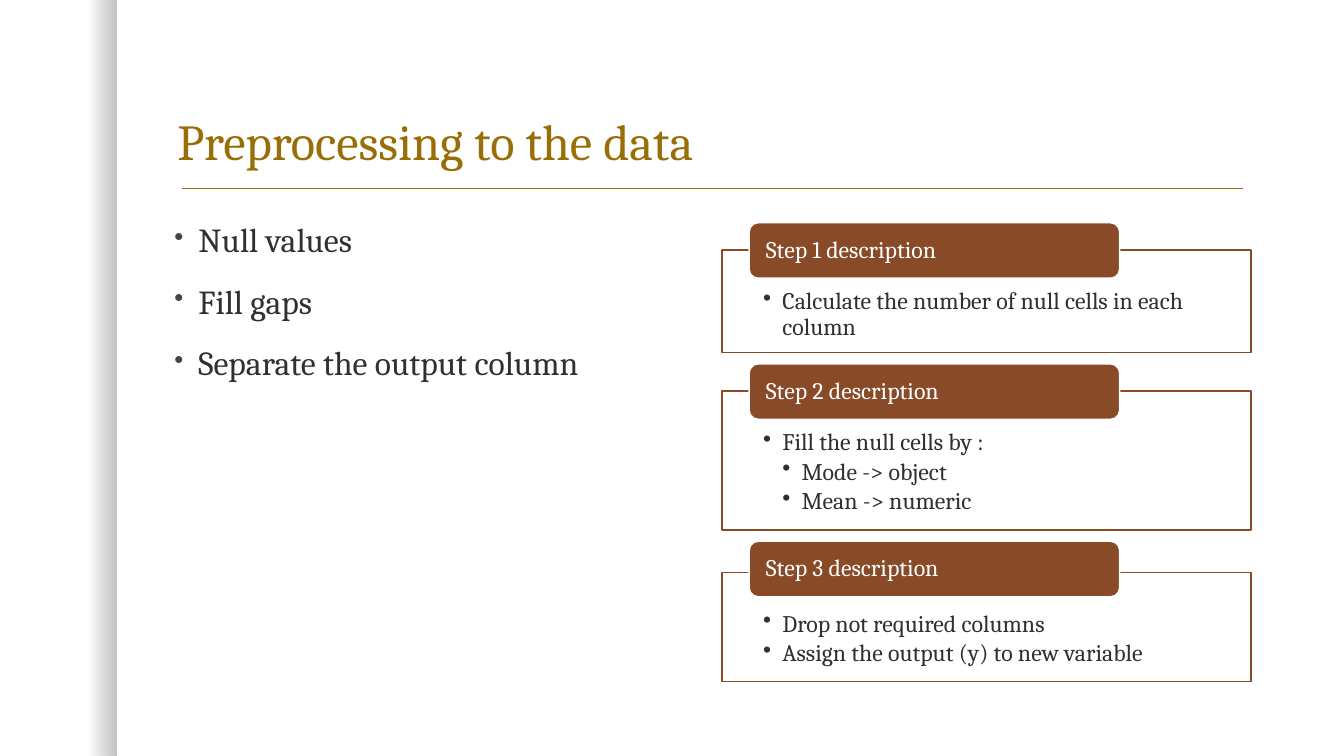
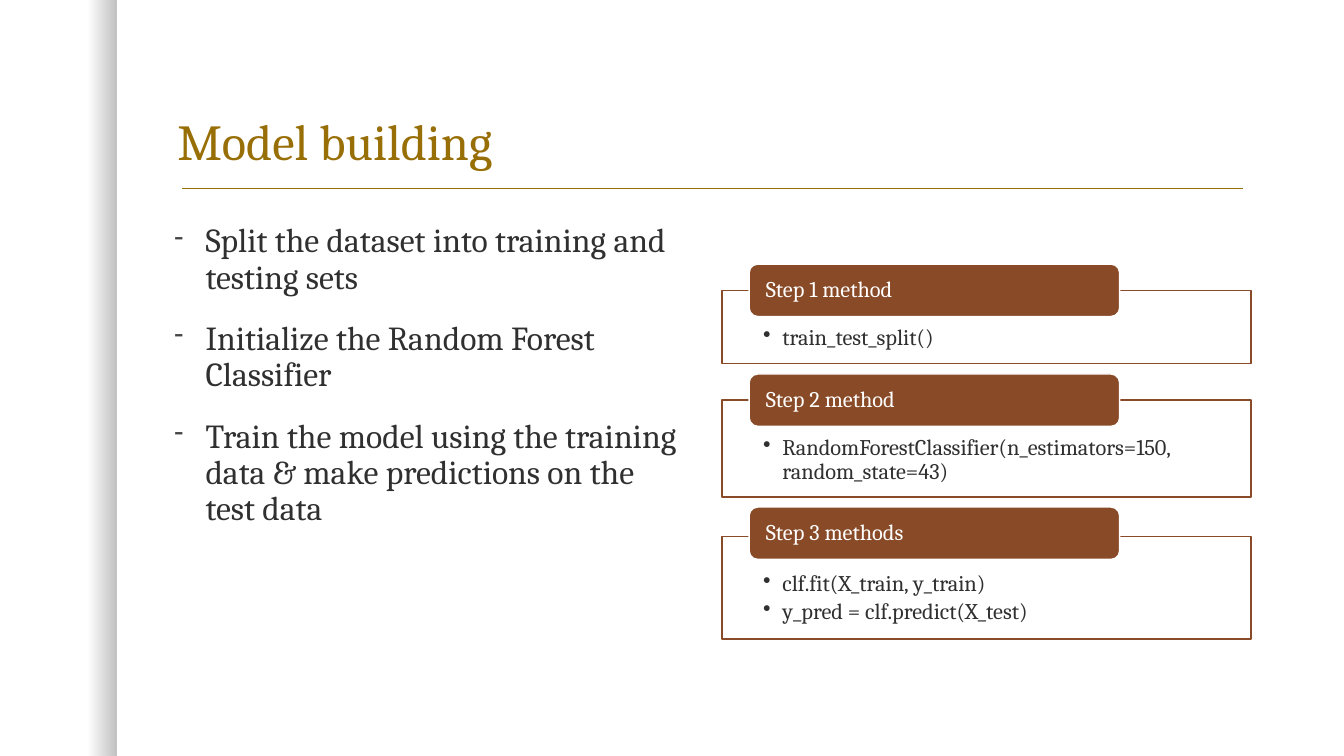
from dataclasses import dataclass
from lxml import etree
from pptx import Presentation, util as u
from pptx.dml.color import RGBColor
from pptx.enum import shapes, text
from pptx.oxml import ns

# Shared look
FONT = "Cambria"
GOLD, BROWN, INK, GREY = "986F07", "894A27", "303030", "454545"
WHITE, BLACK = "FFFFFF", "000000"
WIDE, HIGH = 13.33, 7.5

# Shared grid: two equal columns below the title
LEFT, FULL, COL = 1.66, 10.75, 5.25
RIGHT = LEFT + FULL - COL
TOP, DEEP = 2.17, 4.58
TAG_X, TAG_W = RIGHT + 0.27, COL * 0.7
HANG = 0.19


@dataclass
class Item:
    words: str
    level: int = 1


@dataclass
class Step:
    head: str
    drop: float  # from the top of the tag to the top of the box
    high: float
    items: list[Item]


@dataclass
class Stack:
    top: float
    gap: float
    tag: float
    size: int
    inset: float
    steps: list[Step]


@dataclass
class Page:
    title: str
    mark: str
    hang: float
    points: list[str]
    stack: Stack


PAGES = [
    Page("Preprocessing to the data", "•", 0.24,
         ["Null values", "Fill gaps", "Separate the output column"],
         Stack(2.21, 0.11, 0.55, 17, 0.39, [
             Step("Step 1 description", 0.27, 1.02, [
                 Item("Calculate the number of null cells in each column")]),
             Step("Step 2 description", 0.27, 1.38, [
                 Item("Fill the null cells by :"),
                 Item("Mode -> object", 2),
                 Item("Mean -> numeric", 2)]),
             Step("Step 3 description", 0.31, 1.08, [
                 Item("Drop not required columns"),
                 Item("Assign the output (y) to new variable")]),
         ])),
    Page("Model building", "-", 0.31,
         ["Split the dataset into training and testing sets",
          "Initialize the Random Forest Classifier",
          "Train the model using the training data & make predictions "
          "on the test data"],
         Stack(2.62, 0.1, 0.52, 16, 0.36, [
             Step("Step 1 method", 0.26, 0.73, [Item("train_test_split()")]),
             Step("Step 2 method", 0.26, 0.96, [
                 Item("RandomForestClassifier(n_estimators=150, "
                      "random_state=43)")]),
             Step("Step 3 methods", 0.29, 1.02, [
                 Item("clf.fit(X_train, y_train)"),
                 Item("y_pred = clf.predict(X_test)")]),
         ])),
]


def rgb(code: str) -> RGBColor:
    return RGBColor.from_string(code)


def box(*sides: float) -> list[int]:
    return [u.Inches(side) for side in sides]


def sub(node, tag: str, **attrs: str):
    return etree.SubElement(node, ns.qn(tag), attrs)


def fade(shape, *shares: int) -> None:
    """Set the opacity, in percent, of the shape's colours in order."""
    for node, share in zip(shape.element.iter(ns.qn("a:srgbClr")), shares):
        sub(node, "a:alpha", val=str(share * 1000))


def frame(shape, insets: tuple[float, ...], anchor):
    body = shape.text_frame
    body.word_wrap = True
    body.vertical_anchor = anchor
    (body.margin_left, body.margin_top,
     body.margin_right, body.margin_bottom) = box(*insets)
    return body


def write(body, first: bool, words: str, size: int, color: str):
    para = body.paragraphs[0] if first else body.add_paragraph()
    para.alignment = text.PP_ALIGN.LEFT
    para.line_spacing = 0.9
    run = para.add_run()
    run.text = words
    run.font.name = FONT
    run.font.size = u.Pt(size)
    run.font.color.rgb = rgb(color)
    return para


def bullet(para, mark: str, hang: float, level: int, color: str,
           share: int) -> None:
    props = para._p.get_or_add_pPr()
    props.set("marL", str(u.Inches(hang * level)))
    props.set("indent", str(-u.Inches(hang)))
    sub(sub(props, "a:buClr"), "a:srgbClr", val=color)
    sub(props, "a:buSzPct", val=str(share * 1000))
    sub(props, "a:buChar", char=mark)


def block(slide, kind, place: list[int], fill: str, line: str):
    shape = slide.shapes.add_shape(kind, *place)
    shape.shadow.inherit = False
    shape.fill.solid()
    shape.fill.fore_color.rgb = rgb(fill)
    shape.line.color.rgb = rgb(line)
    shape.line.width = u.Pt(1)
    return shape


def base(slide, title: str) -> None:
    # Shaded left edge
    edge = slide.shapes.add_shape(shapes.MSO_SHAPE.RECTANGLE,
                                  *box(0, 0, 1.16, HIGH))
    edge.shadow.inherit = False
    edge.line.fill.background()
    edge.fill.gradient()
    edge.fill.gradient_angle = 0
    for stop, spot in zip(edge.fill.gradient_stops, (0.75, 1)):
        stop.position = spot
        stop.color.rgb = rgb(BLACK)
    fade(edge, 0, 25)

    # Rule below the title
    rule = slide.shapes.add_connector(shapes.MSO_CONNECTOR.STRAIGHT,
                                      *box(1.81, 1.87, 12.33, 1.87))
    rule.line.color.rgb = rgb(GOLD)
    rule.line.width = u.Pt(1)
    sub(rule.element.spPr, "a:effectLst")

    # Title
    head = slide.shapes.add_textbox(*box(LEFT, 0.42, FULL, 1.33))
    body = frame(head, (0.1, 0.05, 0.1, 0.05), text.MSO_ANCHOR.BOTTOM)
    write(body, True, title, 36, GOLD)


def notes(slide, page: Page) -> None:
    area = slide.shapes.add_textbox(*box(LEFT - 0.03, TOP, COL, DEEP))
    body = frame(area, (0.1, 0.05, 0.1, 0.05), text.MSO_ANCHOR.TOP)
    for i, words in enumerate(page.points):
        para = write(body, i == 0, words, 24, INK)
        para.space_before = u.Pt(18)
        bullet(para, page.mark, page.hang, 1, GREY, 80)


def pile(slide, stack: Stack) -> None:
    top = stack.top
    for step in stack.steps:
        # Outlined box with its bullets
        card = block(slide, shapes.MSO_SHAPE.RECTANGLE,
                     box(RIGHT, top + step.drop, COL, step.high),
                     WHITE, BROWN)
        fade(card, 90)
        body = frame(card, (0.41, stack.inset, 0.41, 0.13),
                     text.MSO_ANCHOR.TOP)
        for i, item in enumerate(step.items):
            para = write(body, i == 0, item.words, stack.size, INK)
            para.space_after = u.Pt(stack.size * 0.15)
            bullet(para, "•", HANG, item.level, INK, 100)

        # Tag over the top side
        tag = block(slide, shapes.MSO_SHAPE.ROUNDED_RECTANGLE,
                    box(TAG_X, top, TAG_W, stack.tag), BROWN, WHITE)
        body = frame(tag, (0.14, 0, 0.14, 0), text.MSO_ANCHOR.MIDDLE)
        write(body, True, step.head, stack.size, WHITE)
        top += step.drop + step.high + stack.gap


def main() -> None:
    deck = Presentation()
    deck.slide_width, deck.slide_height = box(WIDE, HIGH)
    for page in PAGES:
        slide = deck.slides.add_slide(deck.slide_layouts[6])
        base(slide, page.title)
        notes(slide, page)
        pile(slide, page.stack)
    deck.save("out.pptx")


if __name__ == "__main__":
    main()
